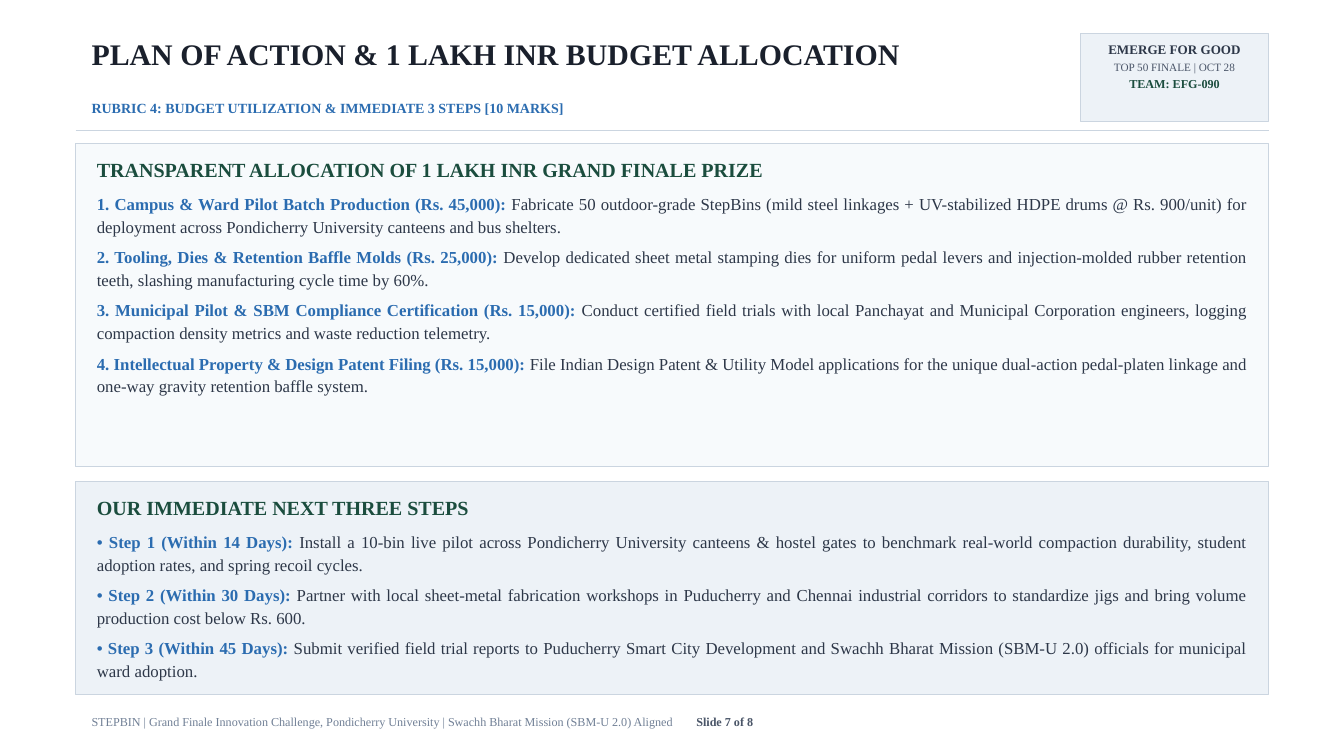
from dataclasses import dataclass

from lxml.etree import SubElement
from pptx import Presentation
from pptx.dml.color import RGBColor as RGB
from pptx.enum.shapes import MSO_CONNECTOR as CONN, MSO_SHAPE as SHAPE
from pptx.enum.text import MSO_ANCHOR as ANCHOR, MSO_AUTO_SIZE as FIT, PP_ALIGN as ALIGN
from pptx.oxml.ns import qn
from pptx.util import Cm, Pt


@dataclass(frozen=True)
class Theme:
    font: str = "Times New Roman"
    ink: str = "1A202C"
    text: str = "2D3748"
    slate: str = "4A5568"
    muted: str = "718096"
    blue: str = "2B6CB0"
    green: str = "1B4D3E"
    border: str = "CBD5E0"
    pale: str = "F7FAFC"
    tint: str = "EDF2F7"
    title: float = 32
    heading: float = 21.5
    body: float = 18
    rubric: float = 15
    badge: float = 14
    small: float = 13
    tiny: float = 12


T = Theme()
LEFT, WIDTH = 2.86, 45.09
HEAD_WIDTH = 37.5
INSETS = (0.6, 0.2)
PANEL_INSETS = (0.8, 0.5)

BUDGET = [
    ("1. Campus & Ward Pilot Batch Production (Rs. 45,000): ",
     "Fabricate 50 outdoor-grade StepBins (mild steel linkages + UV-stabilized HDPE drums @ Rs. 900/unit) "
     "for deployment across Pondicherry University canteens and bus shelters."),
    ("2. Tooling, Dies & Retention Baffle Molds (Rs. 25,000): ",
     "Develop dedicated sheet metal stamping dies for uniform pedal levers and injection-molded rubber "
     "retention teeth, slashing manufacturing cycle time by 60%."),
    ("3. Municipal Pilot & SBM Compliance Certification (Rs. 15,000): ",
     "Conduct certified field trials with local Panchayat and Municipal Corporation engineers, logging "
     "compaction density metrics and waste reduction telemetry."),
    ("4. Intellectual Property & Design Patent Filing (Rs. 15,000): ",
     "File Indian Design Patent & Utility Model applications for the unique dual-action pedal-platen "
     "linkage and one-way gravity retention baffle system."),
]
STEPS = [
    ("• Step 1 (Within 14 Days): ",
     "Install a 10-bin live pilot across Pondicherry University canteens & hostel gates to benchmark "
     "real-world compaction durability, student adoption rates, and spring recoil cycles."),
    ("• Step 2 (Within 30 Days): ",
     "Partner with local sheet-metal fabrication workshops in Puducherry and Chennai industrial corridors "
     "to standardize jigs and bring volume production cost below Rs. 600."),
    ("• Step 3 (Within 45 Days): ",
     "Submit verified field trial reports to Puducherry Smart City Development and Swachh Bharat Mission "
     "(SBM-U 2.0) officials for municipal ward adoption."),
]


def apply(obj, values):
    for name, value in values.items():
        setattr(obj, name, value)


def place(sp, x, y, w, h):
    apply(sp, dict(left=Cm(x), top=Cm(y), width=Cm(w), height=Cm(h)))


def frame(sp, insets=INSETS):
    """Prepare a top-anchored, wrapping text frame."""
    tf = sp.text_frame
    side, edge = map(Cm, insets)
    apply(tf, dict(word_wrap=True, auto_size=FIT.NONE, vertical_anchor=ANCHOR.TOP,
                   margin_left=side, margin_right=side, margin_top=edge, margin_bottom=edge))
    return tf


def paint(sp, fill, line_width):
    sp.fill.solid()
    sp.fill.fore_color.rgb = RGB.from_string(fill)
    sp.line.color.rgb = RGB.from_string(T.border)
    sp.line.width = Pt(line_width)


def write(tf, runs, leading, align=ALIGN.LEFT, after=0, first=False, tab=None):
    """Write one paragraph; each run is (text, size, colour, bold)."""
    p = tf.paragraphs[0] if first else tf.add_paragraph()
    pPr = p._p.get_or_add_pPr()
    pPr.set("marL", "0")
    pPr.set("indent", "0")
    SubElement(pPr, qn("a:buNone"))
    if tab:
        tabs = SubElement(pPr, qn("a:tabLst"))
        SubElement(tabs, qn("a:tab"), pos=str(Cm(tab)), algn="l")
    apply(p, dict(alignment=align, line_spacing=Pt(leading),
                  space_before=Pt(0), space_after=Pt(after)))
    for text, size, color, bold in runs:
        r = p.add_run()
        r.text = text
        apply(r.font, dict(name=T.font, size=Pt(size), bold=bold))
        r.font.color.rgb = RGB.from_string(color)


def text_box(s, box, runs, leading, tab=None):
    sp = s.shapes.add_textbox(*map(Cm, box))
    write(frame(sp), runs, leading, first=True, tab=tab)


def title(s, text):
    sp = s.shapes.title
    place(sp, LEFT, 1.25, HEAD_WIDTH, 2.35)
    write(frame(sp), [(text, T.title, T.ink, True)], 36, first=True)


def badge(s, lines):
    sp = s.shapes.add_shape(SHAPE.RECTANGLE, Cm(40.84), Cm(1.25), Cm(7.11), Cm(3.33))
    sp.shadow.inherit = False
    paint(sp, T.tint, 1)
    tf = frame(sp)
    for i, run in enumerate(lines):
        write(tf, [run], 18 if i else 20, ALIGN.CENTER, first=i == 0)


def rule(s, y):
    line = s.shapes.add_connector(CONN.STRAIGHT, Cm(LEFT), Cm(y), Cm(LEFT + WIDTH), Cm(y))
    line.line.color.rgb = RGB.from_string(T.border)
    line.line.width = Pt(1)
    SubElement(line._element.spPr, qn("a:effectLst"))


def panel(sp, y, h, fill, heading, items):
    """Fill a body placeholder with a heading and its list."""
    place(sp, LEFT, y, WIDTH, h)
    paint(sp, fill, 1.18)
    tf = frame(sp, PANEL_INSETS)
    write(tf, [(heading, T.heading, T.green, True)], 27, after=10, first=True)
    for i, (label, detail) in enumerate(items, 1):
        runs = [(label, T.body, T.blue, True), (detail, T.body, T.text, False)]
        write(tf, runs, 24.5, ALIGN.JUSTIFY, after=8 if i < len(items) else 0)


def main():
    prs = Presentation()
    apply(prs, dict(slide_width=Cm(50.8), slide_height=Cm(28.58)))
    s = prs.slides.add_slide(prs.slide_layouts.get_by_name("Two Content"))

    # Header
    title(s, "PLAN OF ACTION & 1 LAKH INR BUDGET ALLOCATION")
    text_box(s, (LEFT, 3.48, HEAD_WIDTH, 1.52),
             [("RUBRIC 4: BUDGET UTILIZATION & IMMEDIATE 3 STEPS [10 MARKS]", T.rubric, T.blue, True)], 20)
    badge(s, [("EMERGE FOR GOOD", T.badge, T.text, True),
              ("TOP 50 FINALE | OCT 28", T.tiny, T.slate, False),
              ("TEAM: EFG-090", T.small, T.green, True)])
    rule(s, 4.95)

    # Panels
    panel(s.placeholders[1], 5.42, 12.22, T.pale,
          "TRANSPARENT ALLOCATION OF 1 LAKH INR GRAND FINALE PRIZE", BUDGET)
    panel(s.placeholders[2], 18.19, 8.05, T.tint, "OUR IMMEDIATE NEXT THREE STEPS", STEPS)

    # Footer
    text_box(s, (LEFT, 26.67, WIDTH, 1.6),
             [("STEPBIN | Grand Finale Innovation Challenge, Pondicherry University | "
               "Swachh Bharat Mission (SBM-U 2.0) Aligned", T.small, T.muted, False),
              ("\tSlide 7 of 8", T.small, T.slate, True)], 20, tab=23.98)

    prs.save("out.pptx")


if __name__ == "__main__":
    main()
